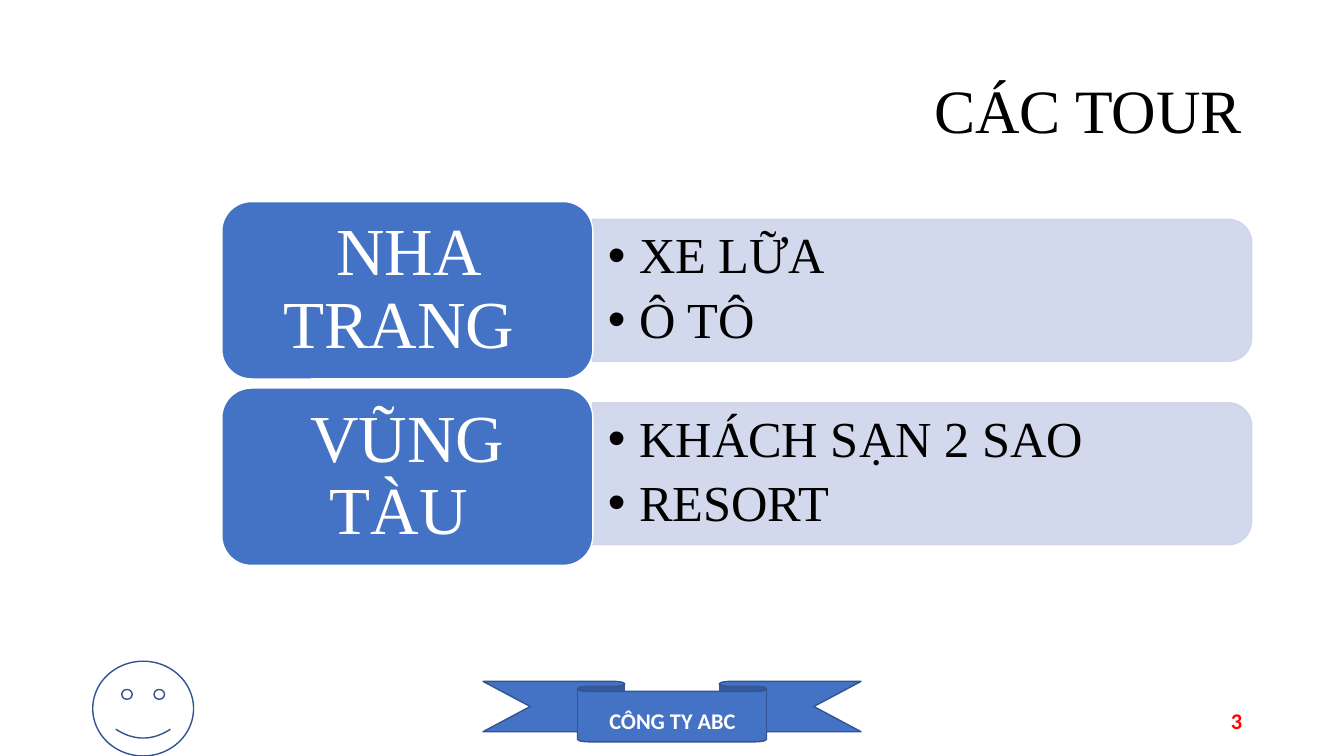
from dataclasses import dataclass

from lxml import etree
from pptx import Presentation
from pptx.dml.color import RGBColor
from pptx.enum.shapes import MSO_SHAPE
from pptx.enum.text import MSO_ANCHOR, MSO_AUTO_SIZE, PP_ALIGN
from pptx.oxml.ns import qn
from pptx.util import Inches, Pt

RIBBON = MSO_SHAPE.DOWN_RIBBON
SMILEY = MSO_SHAPE.SMILEY_FACE
ROUND = MSO_SHAPE.ROUNDED_RECTANGLE
ROUND_TOP = MSO_SHAPE.ROUND_2_SAME_RECTANGLE
LEFT, CENTER, RIGHT = PP_ALIGN.LEFT, PP_ALIGN.CENTER, PP_ALIGN.RIGHT
MIDDLE = MSO_ANCHOR.MIDDLE
NO_FIT = MSO_AUTO_SIZE.NONE


@dataclass(frozen=True)
class Theme:
    blue: str = "4472C4"
    edge: str = "325491"
    pale: str = "CFD5EA"
    white: str = "FFFFFF"
    black: str = "000000"
    red: str = "FF0000"
    serif: str = "Times New Roman"
    sans: str = "Calibri"
    title: int = 44
    tile: int = 48
    item: int = 36
    foot: int = 16


@dataclass(frozen=True)
class Box:
    left: float
    top: float
    width: float
    height: float

    def down(self, step: float) -> "Box":
        return Box(self.left, self.top + step, self.width, self.height)


@dataclass(frozen=True)
class Font:
    face: str
    size: int
    color: str
    bold: bool = False


@dataclass(frozen=True)
class Tour:
    name: str
    items: tuple[str, ...]


@dataclass(frozen=True)
class Note:
    text: str
    box: Box
    align: PP_ALIGN
    color: str


THEME = Theme()
TOURS = (
    Tour("NHA TRANG ", ("XE LỮA", "Ô TÔ")),
    Tour("VŨNG TÀU ", ("KHÁCH SẠN 2 SAO", "RESORT")),
)
NOTES = (
    Note("CÔNG TY ABC", Box(4.42, 6.95, 4.5, 0.4), CENTER, THEME.white),
    Note("3", Box(9.42, 6.95, 3, 0.4), RIGHT, THEME.red),
)

# First row of the tour list and the steps to the next
TILE = Box(2.2, 2, 3.68, 1.76)
PANEL = Box(8.44, -0.39, 1.41, 6.54)
LIST = Box(5.88, 2.24, 6.47, 1.27)
TILE_STEP, PANEL_STEP = 1.85, 1.82


def place(shape, box: Box) -> None:
    shape.left, shape.top = Inches(box.left), Inches(box.top)
    shape.width, shape.height = Inches(box.width), Inches(box.height)


def draw(slide, kind, box: Box, fill: str | None, line: str):
    shape = slide.shapes.add_shape(kind, 0, 0, 0, 0)
    place(shape, box)
    shape.shadow.inherit = False
    if fill:
        shape.fill.solid()
        shape.fill.fore_color.rgb = RGBColor.from_string(fill)
    else:
        shape.fill.background()
    shape.line.color.rgb = RGBColor.from_string(line)
    shape.line.width = Pt(1)
    return shape


def frame(shape, side: float = 0.1, edge: float = 0.05):
    text = shape.text_frame
    text.word_wrap = True
    text.auto_size = NO_FIT
    text.vertical_anchor = MIDDLE
    text.margin_left = text.margin_right = Inches(side)
    text.margin_top = text.margin_bottom = Inches(edge)
    return text


def write(para, text: str, font: Font, align: PP_ALIGN, space: float = 0.9) -> None:
    para.alignment = align
    para.line_spacing = space
    para.space_before = Pt(0)
    run = para.add_run()
    run.text = text
    run.font.name = font.face
    run.font.size = Pt(font.size)
    run.font.bold = font.bold
    run.font.color.rgb = RGBColor.from_string(font.color)


def bullet(para) -> None:
    para.level = 1
    para.space_after = Pt(7)
    props = para._p.get_or_add_pPr()
    props.set("marL", str(Inches(0.31)))
    props.set("indent", str(-Inches(0.31)))
    etree.SubElement(props, qn("a:buChar"), char="•")


def fade(shape, share: int) -> None:
    for color in shape.element.spPr.iter(qn("a:srgbClr")):
        etree.SubElement(color, qn("a:alpha"), val=str(share * 1000))


def add_tour(slide, tour: Tour, body, row: int) -> None:
    # Pale panel, turned so that its round end points right
    panel = draw(slide, ROUND_TOP, PANEL.down(row * PANEL_STEP), THEME.pale, THEME.pale)
    panel.rotation = 90
    fade(panel, 90)

    # List, raised above its panel
    place(body, LIST.down(row * PANEL_STEP))
    body.element.getparent().append(body.element)
    text = frame(body, 0.15, 0.07)
    font = Font(THEME.serif, THEME.item, THEME.black)
    for spot, item in enumerate(tour.items):
        para = text.add_paragraph() if spot else text.paragraphs[0]
        write(para, item, font, LEFT)
        bullet(para)

    # Tile with the name
    tile = draw(slide, ROUND, TILE.down(row * TILE_STEP), THEME.blue, THEME.white)
    font = Font(THEME.serif, THEME.tile, THEME.white)
    write(frame(tile, 0.2, 0.1).paragraphs[0], tour.name, font, CENTER)


def add_note(slide, note: Note) -> None:
    box = slide.shapes.add_textbox(0, 0, 0, 0)
    place(box, note.box)
    font = Font(THEME.sans, THEME.foot, note.color, True)
    write(frame(box).paragraphs[0], note.text, font, note.align, 1.0)


def main() -> None:
    deck = Presentation()
    deck.slide_width, deck.slide_height = Inches(13.33), Inches(7.5)
    slide = deck.slides.add_slide(deck.slide_layouts.get_by_name("Two Content"))
    title, *lists = slide.placeholders

    # Ribbon and face at the foot
    draw(slide, RIBBON, Box(4.79, 6.76, 3.75, 0.6), THEME.blue, THEME.edge)
    draw(slide, SMILEY, Box(0.92, 6.56, 1, 0.94), None, THEME.edge)

    # Title
    place(title, Box(0.92, 0.4, 11.5, 1.45))
    font = Font(THEME.serif, THEME.title, THEME.black)
    write(frame(title).paragraphs[0], "CÁC TOUR", font, RIGHT)

    # Tours
    for row, (tour, body) in enumerate(zip(TOURS, lists)):
        add_tour(slide, tour, body, row)

    # Foot text
    for note in NOTES:
        add_note(slide, note)

    deck.save("out.pptx")


if __name__ == "__main__":
    main()
